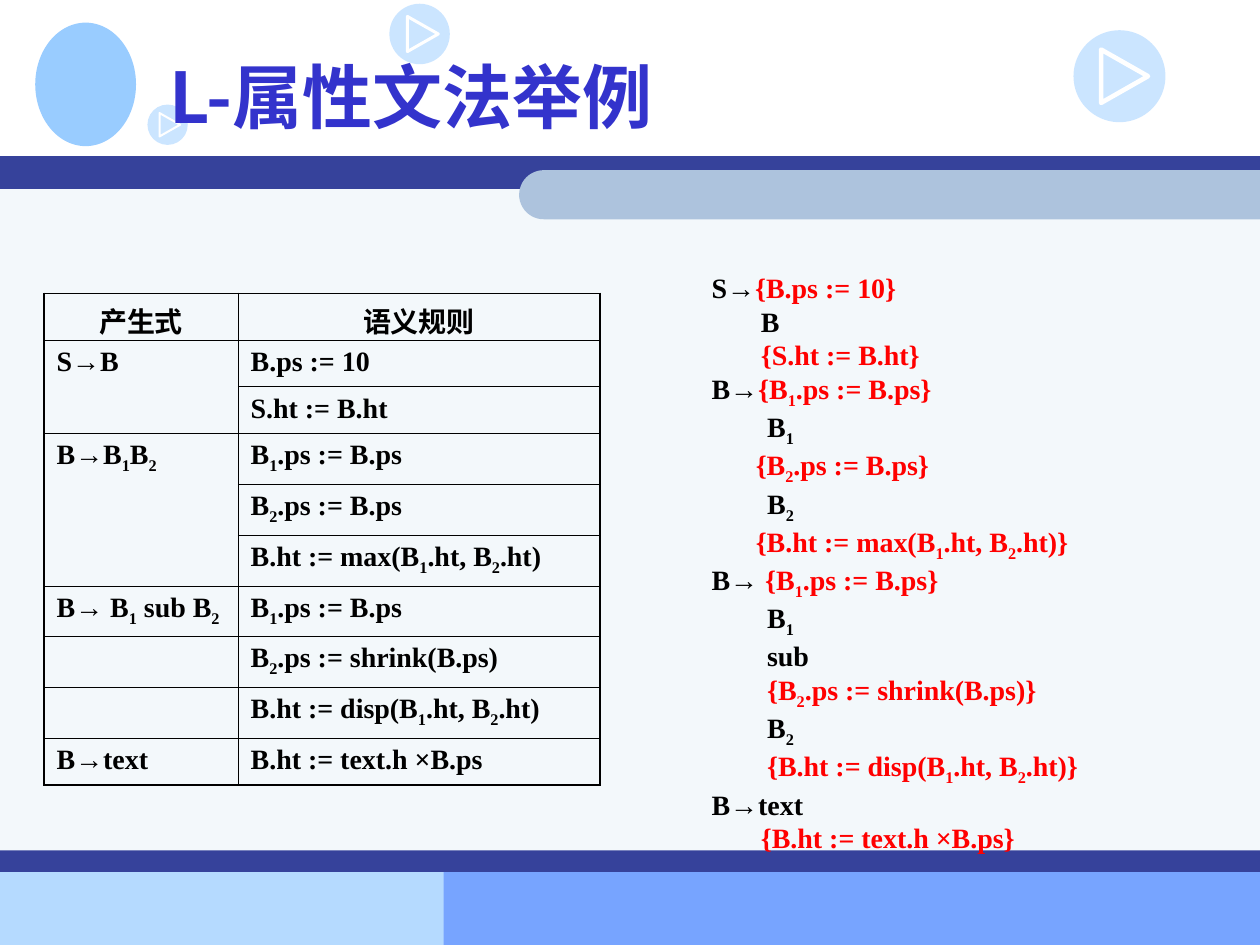
import pptx
import pptx.dml.color
import pptx.enum.shapes
import pptx.enum.text
import pptx.oxml
import pptx.oxml.ns
import pptx.util
from lxml import etree

Inches = pptx.util.Inches
Pt = pptx.util.Pt
SHAPE = pptx.enum.shapes.MSO_SHAPE
ALIGN = pptx.enum.text.PP_ALIGN
ANCHOR = pptx.enum.text.MSO_ANCHOR

COLORS = {
    "navy": "36429B", "panel": "F3F8FB", "tab": "ADC3DD", "pale": "B5DAFF",
    "blue": "77A4FF", "title": "3333CC", "sky": "99CCFF", "white": "FFFFFF",
    "black": "000000", "red": "FF0000",
}
CJK_FONT = "Noto Sans CJK SC"
BODY = {"name": "Times New Roman", "size": Pt(16), "bold": True}
TITLE = {"name": CJK_FONT, "size": Pt(40), "bold": True}

# Grammar table: production, rows merged with it, semantic rule.
# In all formulas "_" lowers the character that follows it.
GRAMMAR = [
    ("S→B", 2, "B.ps := 10"),
    ("", 1, "S.ht := B.ht"),
    ("B→B_1B_2", 3, "B_1.ps := B.ps"),
    ("", 1, "B_2.ps := B.ps"),
    ("", 1, "B.ht := max(B_1.ht, B_2.ht)"),
    ("B→ B_1 sub B_2", 1, "B_1.ps := B.ps"),
    ("", 1, "B_2.ps := shrink(B.ps)"),
    ("", 1, "B.ht := disp(B_1.ht, B_2.ht)"),
    ("B→text", 1, "B.ht := text.h ×B.ps"),
]

# Translation scheme: indent in inches, formula (actions in braces are red)
SCHEME = [
    (0, "S→{B.ps := 10}"), (0.39, "B"), (0.39, "{S.ht := B.ht}"),
    (0, "B→{B_1.ps := B.ps}"), (0.44, "B_1"), (0.35, "{B_2.ps := B.ps}"),
    (0.44, "B_2"), (0.35, "{B.ht := max(B_1.ht, B_2.ht)}"),
    (0, "B→ {B_1.ps := B.ps}"), (0.44, "B_1"), (0.44, "sub"),
    (0.44, "{B_2.ps := shrink(B.ps)}"), (0.44, "B_2"),
    (0.44, "{B.ht := disp(B_1.ht, B_2.ht)}"),
    (0, "B→text"), (0.39, "{B.ht := text.h ×B.ps}"),
]


def rgb(color):
    return pptx.dml.color.RGBColor.from_string(COLORS[color])


def add_run(paragraph, text, color, style, baseline=0, east_asian=None):
    if not text:
        return
    run = paragraph.add_run()
    run.text = text
    for name, value in style.items():
        setattr(run.font, name, value)
    run.font.color.rgb = rgb(color)
    properties = run.font._element
    if baseline:
        properties.set("baseline", str(baseline))
    if east_asian:
        tag = pptx.oxml.ns.qn("a:ea")
        etree.SubElement(properties, tag).set("typeface", east_asian)


def add_formula(paragraph, formula):
    production, brace, action = formula.partition("{")
    for text, color in ((production, "black"), (brace + action, "red")):
        first, *lowered = text.split("_")
        add_run(paragraph, first, color, BODY)
        for part in lowered:
            add_run(paragraph, part[0], color, BODY, baseline=-25000)
            add_run(paragraph, part[1:], color, BODY)


def add_block(slide, kind, box, color):
    shape = slide.shapes.add_shape(kind, *map(Inches, box))
    shape.shadow.inherit = False
    shape.fill.solid()
    shape.fill.fore_color.rgb = rgb(color)
    shape.line.fill.background()
    return shape


def add_play_button(slide, left, top, size):
    circle = add_block(slide, SHAPE.OVAL, (left, top, size, size), "sky")
    fill = circle.fill._xPr.find(pptx.oxml.ns.qn("a:solidFill"))
    etree.SubElement(fill[0], pptx.oxml.ns.qn("a:alpha")).set("val", "50000")
    points = [(Inches(left + size * x), Inches(top + size * y))
              for x, y in ((0.3, 0.21), (0.81, 0.5), (0.3, 0.79))]
    builder = slide.shapes.build_freeform(*points[0])
    builder.add_line_segments(points[1:], close=True)
    triangle = builder.convert_to_shape()
    triangle.shadow.inherit = False
    triangle.fill.background()
    triangle.line.color.rgb = rgb("white")
    triangle.line.width = Pt(72 * size * 0.05)


def add_backdrop(slide):
    for box, color in (
        ((0, 6.92, 4.25, 0.58), "pale"),
        ((3.52, 6.91, 6.48, 0.59), "blue"),
        ((0, 1.4, 10, 5.51), "panel"),
        ((0, 1.24, 10, 0.26), "navy"),
        ((0, 6.75, 10, 0.17), "navy"),
    ):
        add_block(slide, SHAPE.RECTANGLE, box, color)
    # Tab with a rounded left end: an upright shape turned on its side
    left, top, length, depth = 4.12, 1.35, 5.88, 0.39
    upright = (left + (length - depth) / 2, top - (length - depth) / 2,
               depth, length)
    tab = add_block(slide, SHAPE.ROUND_2_SAME_RECTANGLE, upright, "tab")
    tab.adjustments[0] = 0.5
    tab.rotation = 270
    # Emblem and play buttons
    add_block(slide, SHAPE.OVAL, (0.28, 0.18, 0.8, 0.98), "sky")
    for button in ((3.09, 0.03, 0.48), (8.52, 0.24, 0.73), (1.17, 0.83, 0.32)):
        add_play_button(slide, *button)


def add_text_box(slide, box):
    frame = slide.shapes.add_textbox(*map(Inches, box)).text_frame
    frame.word_wrap = True
    return frame


def add_title(slide, box):
    frame = add_text_box(slide, box)
    frame.vertical_anchor = ANCHOR.MIDDLE
    add_run(frame.paragraphs[0], "L-属性文法举例", "title", TITLE,
            east_asian=CJK_FONT)


def set_borders(cell, widths):
    properties = cell._tc.get_or_add_tcPr()
    for side, width in widths.items():
        properties.append(pptx.oxml.parse_xml(
            f'<a:ln{side} {pptx.oxml.ns.nsdecls("a")} w="{Pt(width)}">'
            f'<a:solidFill><a:srgbClr val="{COLORS["black"]}"/></a:solidFill>'
            f'</a:ln{side}>'))


def add_grammar_table(slide, box):
    rows = len(GRAMMAR) + 1
    table = slide.shapes.add_table(rows, 2, *map(Inches, box)).table
    table.first_row = table.horz_banding = False
    for column, width in zip(table.columns, (1.54, 2.87)):
        column.width = Inches(width)
    for row in table.rows:
        row.height = Inches(0.37)
    # Thick outer frame, thin inner lines
    for r in range(rows):
        for c in range(2):
            cell = table.cell(r, c)
            outer = {"L": c == 0, "R": c == 1, "T": r == 0, "B": r == rows - 1}
            set_borders(cell, {side: 1.08 if edge else 0.45
                               for side, edge in outer.items()})
            cell.fill.background()
    for c, heading in enumerate(("产生式", "语义规则")):
        paragraph = table.cell(0, c).text_frame.paragraphs[0]
        paragraph.alignment = ALIGN.CENTER
        add_run(paragraph, heading, "black", BODY, east_asian=CJK_FONT)
    for r, (production, span, rule) in enumerate(GRAMMAR, 1):
        if span > 1:
            table.cell(r, 0).merge(table.cell(r + span - 1, 0))
        for c, formula in enumerate((production, rule)):
            paragraph = table.cell(r, c).text_frame.paragraphs[0]
            paragraph.font.size = BODY["size"]
            add_formula(paragraph, formula)


def add_scheme(slide, box):
    frame = add_text_box(slide, box)
    for i, (indent, formula) in enumerate(SCHEME):
        paragraph = frame.add_paragraph() if i else frame.paragraphs[0]
        paragraph._p.get_or_add_pPr().set("marL", str(Inches(indent)))
        add_formula(paragraph, formula)


def main():
    presentation = pptx.Presentation()
    presentation.slide_width = Inches(10)
    presentation.slide_height = Inches(7.5)
    slide = presentation.slides.add_slide(presentation.slide_layouts[6])
    add_backdrop(slide)
    add_title(slide, (1.25, 0.17, 8.5, 1.17))
    add_grammar_table(slide, (0.35, 2.33, 4.41, 3.71))
    add_scheme(slide, (5.55, 2.1, 3.86, 4.73))
    presentation.save("out.pptx")


if __name__ == "__main__":
    main()
